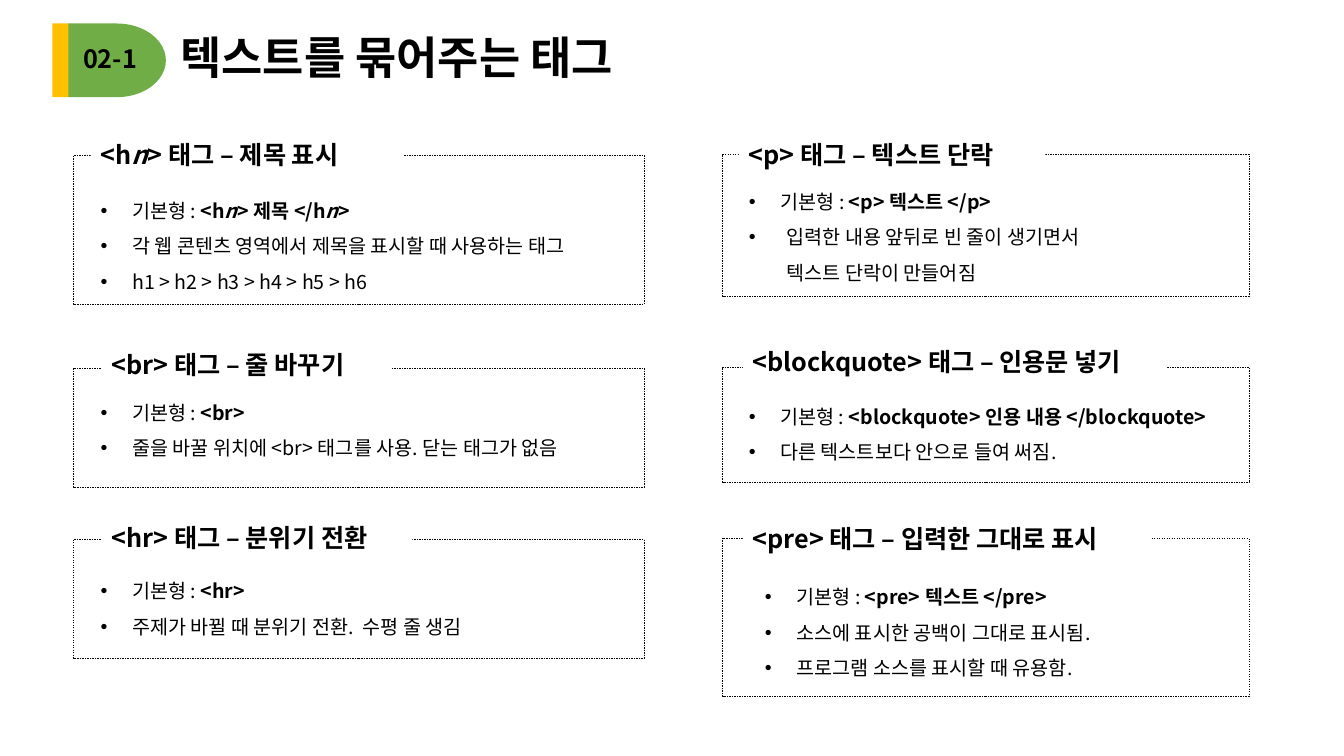
import pptx
import pptx.util
import pptx.dml.color
import pptx.enum.dml
import pptx.enum.shapes
import pptx.enum.text
import pptx.oxml.ns
import lxml.etree

Pt = pptx.util.Pt
RGB = pptx.dml.color.RGBColor
SHAPE = pptx.enum.shapes.MSO_SHAPE
ANCHOR = pptx.enum.text.MSO_ANCHOR
BLACK = RGB(0, 0, 0)
WHITE = RGB(255, 255, 255)
GREEN = RGB(0x70, 0xAD, 0x47)
YELLOW = RGB(0xFF, 0xC0, 0x00)
FONT = "Noto Sans CJK KR"

TITLE = "텍스트를 묶어주는 태그"
NUMBER = "02-1"
BASIC = ("기본형 : ", "")
COLUMNS = [
    {"x": 52.6, "w": 407.5, "cards": [
        {"frame": (110.9, 106.6), "label": (64.8, 95.8, 223.2), "list": (64.8, 130.3, 432),
         "heading": [("<h", "b"), ("n", "bi"), ("> 태그 – 제목 표시", "b")],
         "items": [
             [BASIC, ("<h", "b"), ("n", "bi"), ("> 제목 </h", "b"), ("n", "bi"), (">", "b")],
             [("각 웹 콘텐츠 영역에서 제목을 표시할 때 사용하는 태그", "")],
             [("h1 > h2 > h3 > h4 > h5 > h6", "")]]},
        {"frame": (262.8, 85), "label": (72.7, 246.2, 206.6), "list": (64.8, 274.3, 432),
         "heading": [("<br> 태그 – 줄 바꾸기", "b")],
         "items": [
             [BASIC, ("<br>", "b")],
             [("줄을 바꿀 위치에 <br> 태그를 사용. 닫는 태그가 없음", "")]]},
        {"frame": (385.2, 85), "label": (72.7, 369.4, 221.8), "list": (64.8, 401.8, 432),
         "heading": [("<hr> 태그 – 분위기 전환", "b")],
         "items": [
             [BASIC, ("<hr>", "b")],
             [("주제가 바뀔 때 분위기 전환.  수평 줄 생김", "")]]},
    ]},
    {"x": 516.2, "w": 375.8, "cards": [
        {"frame": (110.2, 101.5), "label": (527.8, 95.8, 218.9), "list": (527.8, 123.8, 308.2),
         "heading": [("<p> 태그 – 텍스트 단락", "b")], "indents": {1: 27},
         "items": [
             [BASIC, ("<p> 텍스트 </p>", "b")],
             [("입력한 내용 앞뒤로 빈 줄이 생기면서\n텍스트 단락이 만들어짐", "")]]},
        {"frame": (262.1, 82.1), "label": (530.6, 244.1, 303.1), "list": (527.8, 277.2, 432),
         "heading": [("<blockquote> 태그 – 인용문 넣기", "b")],
         "items": [
             [BASIC, ("<blockquote> 인용 내용 </blockquote>", "b")],
             [("다른 텍스트보다 안으로 들여 써짐.", "")]]},
        {"frame": (384.5, 113), "label": (530.6, 370.1, 290.9), "list": (539.3, 406.1, 420),
         "heading": [("<pre> 태그 – 입력한 그대로 표시", "b")],
         "items": [
             [BASIC, ("<pre> 텍스트 </pre>", "b")],
             [("소스에 표시한 공백이 그대로 표시됨.", "")],
             [("프로그램 소스를 표시할 때 유용함.", "")]]},
    ]},
]
LABEL_H = 28.8
LINE_H = 31.5
INDENT = 22.5


def put(p, parts, size=14, font=FONT, spacing=None, indent=None):
    p.alignment = pptx.enum.text.PP_ALIGN.LEFT
    p.space_before = Pt(0)
    if spacing:
        p.line_spacing = spacing
    if indent:
        pPr = p._p.get_or_add_pPr()
        pPr.set("marL", str(Pt(indent)))
        pPr.set("indent", str(-Pt(indent)))
        qn = pptx.oxml.ns.qn
        lxml.etree.SubElement(pPr, qn("a:buFont")).set("typeface", "Arial")
        lxml.etree.SubElement(pPr, qn("a:buChar")).set("char", "•")
    for text, style in parts:
        for i, line in enumerate(text.split("\n")):
            if i:
                p.add_line_break()
            r = p.add_run()
            r.text = line
            r.font.size = Pt(size)
            r.font.name = font
            r.font.bold = "b" in style
            r.font.italic = "i" in style
            r.font.color.rgb = BLACK
            ea = lxml.etree.SubElement(r._r.get_or_add_rPr(), pptx.oxml.ns.qn("a:ea"))
            ea.set("typeface", FONT)


def add_shape(s, kind, x, y, w, h, fill=None):
    sp = s.shapes.add_shape(kind, Pt(x), Pt(y), Pt(w), Pt(h))
    sp.shadow.inherit = False
    if fill is None:
        sp.fill.background()
    else:
        sp.fill.solid()
        sp.fill.fore_color.rgb = fill
    sp.line.fill.background()
    return sp


def add_text(s, x, y, w, h):
    sp = s.shapes.add_textbox(Pt(x), Pt(y), Pt(w), Pt(h))
    sp.text_frame.word_wrap = True
    return sp.text_frame


def add_card(s, x, w, card):
    y, h = card["frame"]
    frame = add_shape(s, SHAPE.RECTANGLE, x, y, w, h)
    frame.line.color.rgb = BLACK
    frame.line.width = Pt(0.25)
    frame.line.dash_style = pptx.enum.dml.MSO_LINE.DASH

    label = add_shape(s, SHAPE.RECTANGLE, *card["label"], LABEL_H, fill=WHITE)
    label.text_frame.word_wrap = True
    label.text_frame.vertical_anchor = ANCHOR.TOP
    put(label.text_frame.paragraphs[0], card["heading"], size=18)

    items = card["items"]
    tf = add_text(s, *card["list"], LINE_H * len(items))
    for i, parts in enumerate(items):
        p = tf.paragraphs[0] if i == 0 else tf.add_paragraph()
        put(p, parts, spacing=1.5, indent=card.get("indents", {}).get(i, INDENT))


def main():
    prs = pptx.Presentation()
    prs.slide_width, prs.slide_height = Pt(960), Pt(540)
    s = prs.slides.add_slide(prs.slide_layouts[5])

    add_shape(s, SHAPE.FLOWCHART_DELAY, 48.5, 16.8, 70, 52.6, fill=GREEN)
    add_shape(s, SHAPE.RECTANGLE, 37.4, 16.8, 11.5, 52.6, fill=YELLOW)
    put(add_text(s, 52.3, 27.4, 62.6, 29.5).paragraphs[0], [(NUMBER, "b")], size=18)

    title = s.shapes.title
    title.left, title.top, title.width, title.height = Pt(121.7), Pt(16.8), Pt(715.7), Pt(52.6)
    title.text_frame.vertical_anchor = ANCHOR.MIDDLE
    put(title.text_frame.paragraphs[0], [(TITLE, "b")], size=32, font="Arial", spacing=0.9)

    for column in COLUMNS:
        for card in column["cards"]:
            add_card(s, column["x"], column["w"], card)
    prs.save("out.pptx")


if __name__ == "__main__":
    main()
